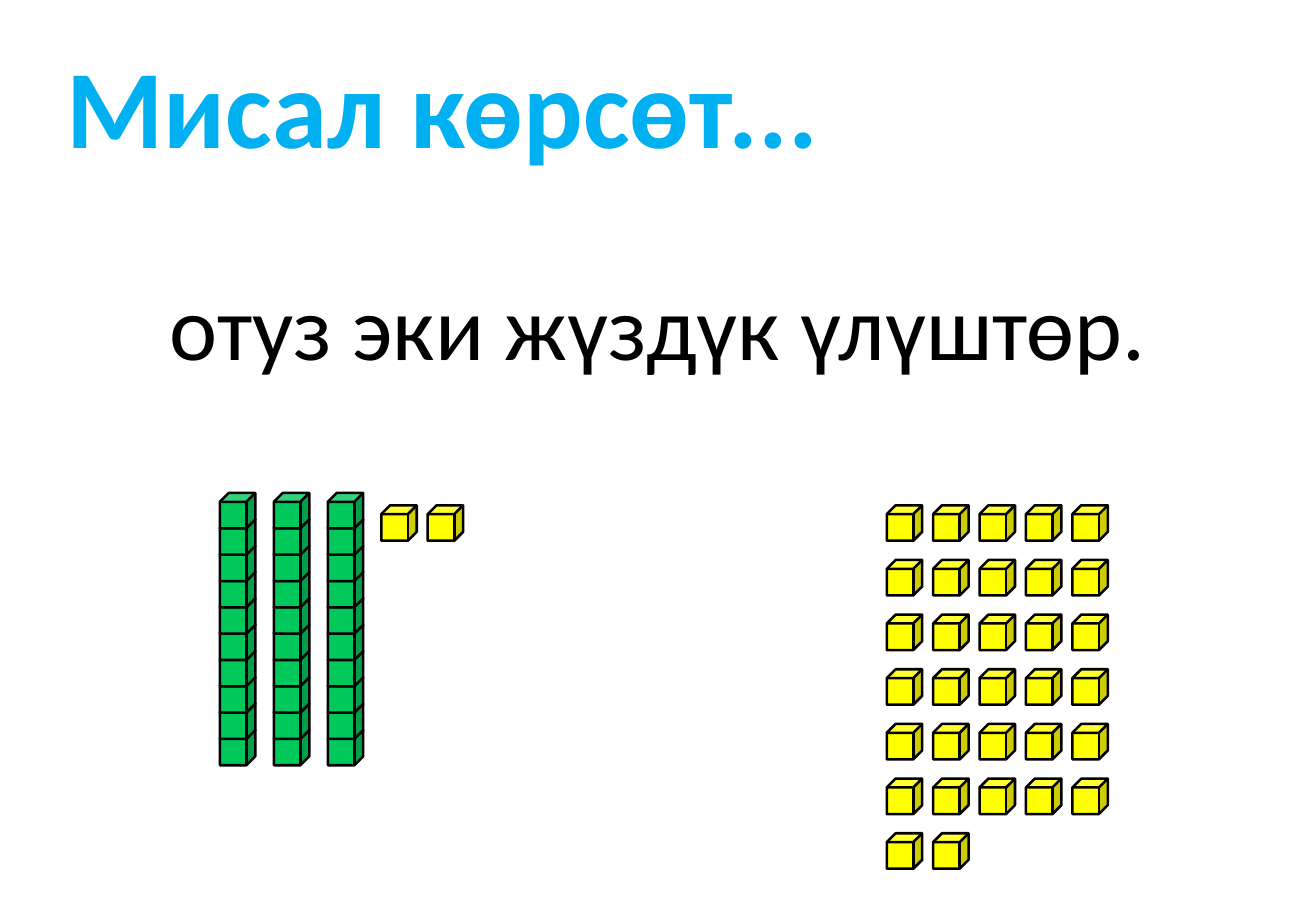
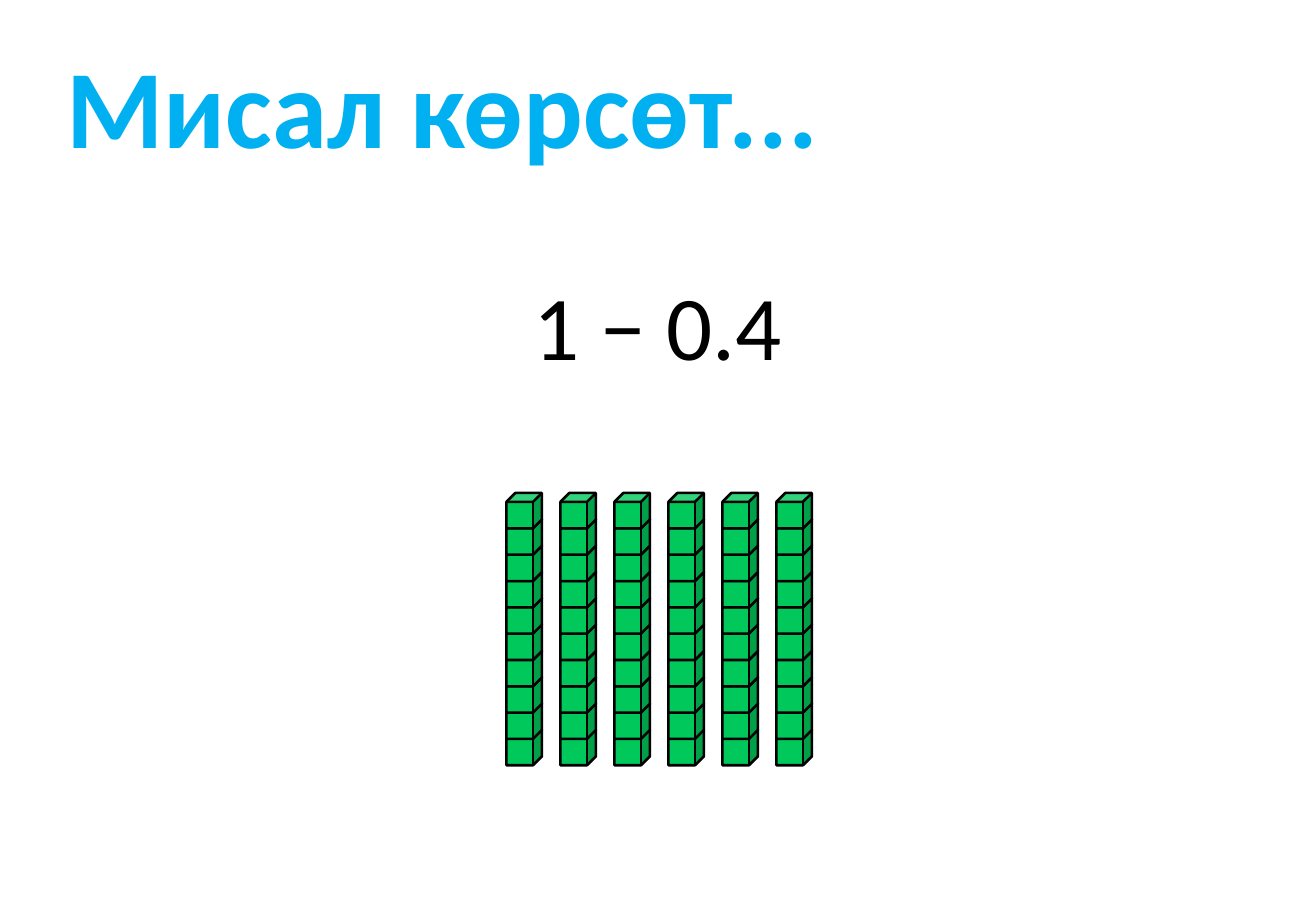
from collections import namedtuple

from pptx import Presentation
from pptx.dml.color import RGBColor
from pptx.enum import shapes, text
from pptx.util import Pt

Theme = namedtuple("Theme", "font title_colour ink tenth hundredth title_size body_size line")
theme = Theme(
    font="Calibri",
    title_colour=RGBColor(0x00, 0xB0, 0xF0),
    ink=RGBColor(0x00, 0x00, 0x00),
    tenth=RGBColor(0x00, 0xC8, 0x5A),
    hundredth=RGBColor(0xFF, 0xFF, 0x00),
    title_size=66,
    body_size=54,
    line=1.5,
)

PAGE_WIDTH, PAGE_HEIGHT = 780, 540
CUBE = 21
ROD_TOP, ROD_GAP, ROD_STEP, ROD_CUBES = 292.2, 32, 15.6, 10
UNIT_TOP, UNIT_GAP, UNIT_ROW, UNITS_PER_ROW = 299.5, 27.5, 32.4, 5


def write(box, words, *, size, colour, bold=False, align=text.PP_ALIGN.LEFT, wrap=True, left=7.2):
    frame = box.text_frame
    frame.word_wrap = wrap
    frame.auto_size = text.MSO_AUTO_SIZE.SHAPE_TO_FIT_TEXT
    frame.vertical_anchor = text.MSO_ANCHOR.TOP
    frame.margin_left = Pt(left)
    para = frame.paragraphs[0]
    para.alignment = align
    span = para.add_run()
    span.text = words
    span.font.name = theme.font
    span.font.size = Pt(size)
    span.font.bold = bold
    span.font.color.rgb = colour


def add_cubes(page, colour, corners):
    group = page.shapes.add_group_shape()
    for left, top in corners:
        cube = group.shapes.add_shape(
            shapes.MSO_SHAPE.CUBE, Pt(left), Pt(top), Pt(CUBE), Pt(CUBE))
        cube.shadow.inherit = False
        cube.fill.solid()
        cube.fill.fore_color.rgb = colour
        cube.line.color.rgb = theme.ink
        cube.line.width = Pt(theme.line)


pages = [
    {"words": "отуз эки жүздүк үлүштөр.", "width": 602,
     "rods": (130.3, 3), "units": [(226, 2), (525.6, 32)]},
    {"words": "1 − 0.4", "width": 163.4,
     "rods": (300.2, 6), "units": []},
]

deck = Presentation()
deck.slide_width, deck.slide_height = Pt(PAGE_WIDTH), Pt(PAGE_HEIGHT)

for content in pages:
    page = deck.slides.add_slide(deck.slide_layouts[5])

    title = page.shapes.title
    title.left, title.top, title.width, title.height = Pt(17.3), Pt(18.7), Pt(543), Pt(87)
    write(title, "Мисал көрсөт...", size=theme.title_size, colour=theme.title_colour,
          bold=True, left=22.1)

    width = content["width"]
    box = page.shapes.add_textbox(Pt((PAGE_WIDTH - width) / 2), Pt(156.2), Pt(width), Pt(72.7))
    write(box, content["words"], size=theme.body_size, colour=theme.ink,
          align=text.PP_ALIGN.CENTER, wrap=False)

    rods_left, rod_count = content["rods"]
    for rod in range(rod_count):
        add_cubes(page, theme.tenth, [
            (rods_left + rod * ROD_GAP, ROD_TOP + step * ROD_STEP)
            for step in reversed(range(ROD_CUBES))])

    for units_left, unit_count in content["units"]:
        add_cubes(page, theme.hundredth, [
            (units_left + unit % UNITS_PER_ROW * UNIT_GAP,
             UNIT_TOP + unit // UNITS_PER_ROW * UNIT_ROW)
            for unit in range(unit_count)])

deck.save("out.pptx")
